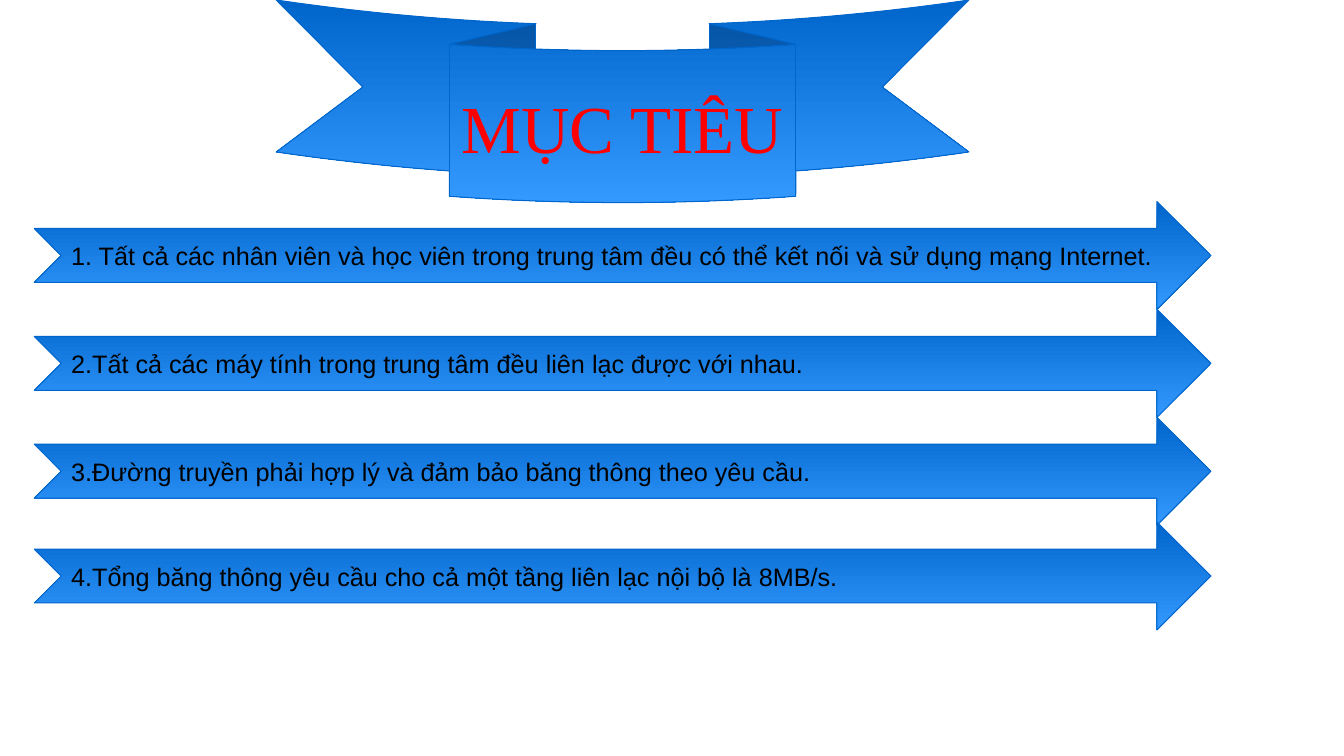
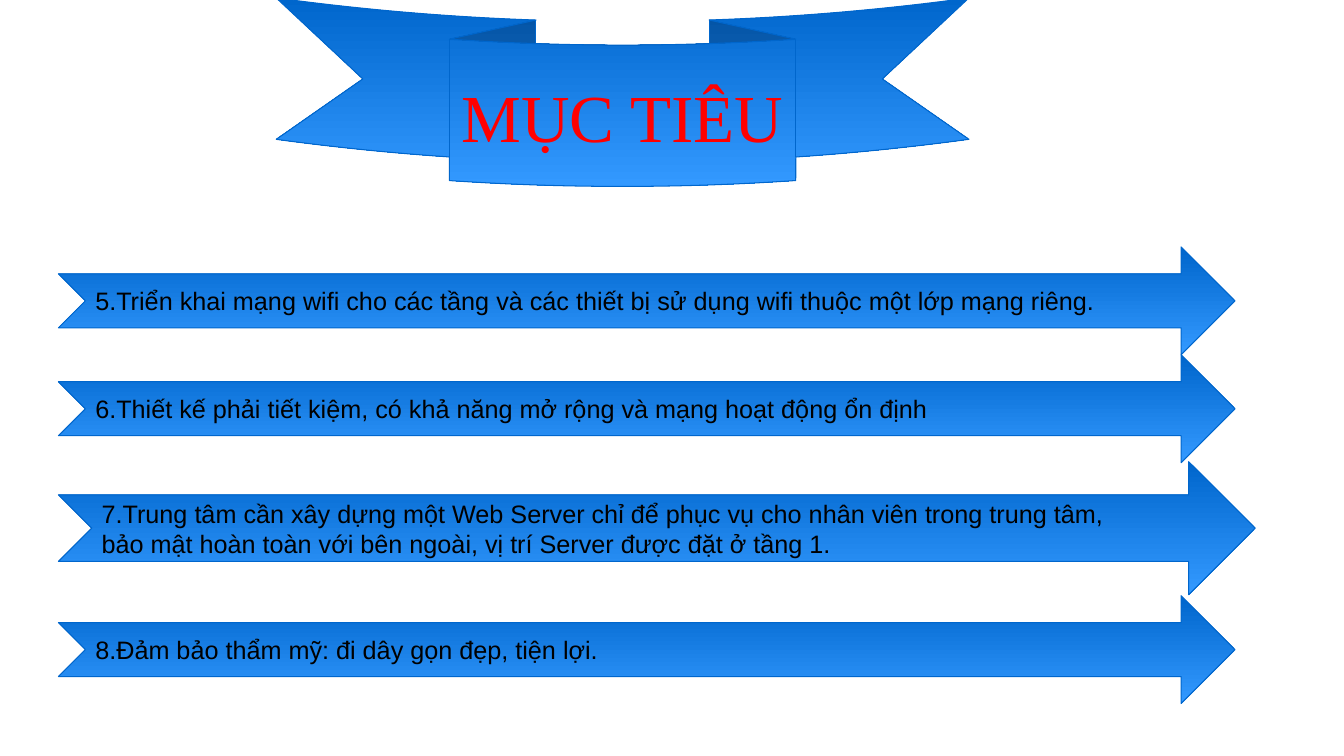
"""Build the two objectives slides: a ribbon title above a stack of notched arrows."""
from pptx import Presentation
from pptx.dml.color import RGBColor
from pptx.enum import shapes, text
from pptx.util import Inches, Pt

DEEP_BLUE = RGBColor(0x00, 0x66, 0xCC)
LIGHT_BLUE = RGBColor(0x33, 0x99, 0xFF)
RED = RGBColor(0xFF, 0x00, 0x00)
BLACK = RGBColor(0x00, 0x00, 0x00)

TITLE = "MỤC TIÊU"
ARROW_WIDTH, ARROW_HEIGHT = 11.67, 1.07
TITLE_ONLY = 5

FIRST_GOALS = [
    (2, ["1. Tất cả các nhân viên và học viên trong trung tâm đều có thể kết nối và sử dụng mạng Internet."]),
    (3.07, ["2.Tất cả các máy tính trong trung tâm đều liên lạc được với nhau."]),
    (4.14, ["3.Đường truyền phải hợp lý và đảm bảo băng thông theo yêu cầu."]),
    (5.18, ["4.Tổng băng thông yêu cầu cho cả một tầng liên lạc nội bộ là 8MB/s."]),
]
LAST_GOALS = [
    (2.45, ["5.Triển khai mạng wifi cho các tầng và các thiết bị sử dụng wifi thuộc một lớp mạng riêng."]),
    (3.52, ["6.Thiết kế phải tiết kiệm, có khả năng mở rộng và mạng hoạt động ổn định"]),
    (4.58, ["7.Trung tâm cần xây dựng một Web Server chỉ để phục vụ cho nhân viên trong trung tâm,",
            "bảo mật hoàn toàn với bên ngoài, vị trí Server được đặt ở tầng 1."], 11.87, 1.32),
    (5.91, ["8.Đảm bảo thẩm mỹ: đi dây gọn đẹp, tiện lợi."]),
]


class GoalDeck:
    """Hold the deck, its style and the current page."""

    def __init__(self):
        """Start an empty widescreen deck."""
        self.deck = Presentation()
        self.deck.slide_width = Inches(13.33)
        self.deck.slide_height = Inches(7.5)
        self.page = None

    def add_page(self):
        """Start a page that has only a title."""
        self.page = self.deck.slides.add_slide(self.deck.slide_layouts[TITLE_ONLY])

    def shape(self, kind, left, top, width, height):
        """Draw a preset shape with the blue gradient and outline."""
        box = self.page.shapes.add_shape(
            kind, Inches(left), Inches(top), Inches(width), Inches(height))
        box.shadow.inherit = False
        box.fill.gradient()
        box.fill.gradient_angle = 270
        for stop, color in zip(box.fill.gradient_stops, (DEEP_BLUE, LIGHT_BLUE)):
            stop.color.rgb = color
        box.line.color.rgb = DEEP_BLUE
        box.line.width = Pt(0.75)
        return box

    def set_text(self, box, lines, font, size, color, align):
        """Set one unwrapped paragraph per line, centred vertically."""
        frame = box.text_frame
        frame.word_wrap = False
        frame.auto_size = text.MSO_AUTO_SIZE.NONE
        frame.vertical_anchor = text.MSO_ANCHOR.MIDDLE
        for index, line in enumerate(lines):
            para = frame.add_paragraph() if index else frame.paragraphs[0]
            para.alignment = align
            span = para.add_run()
            span.text = line
            span.font.name = font
            span.font.size = Pt(size)
            span.font.color.rgb = color

    def ribbon_title(self, top, height):
        """Draw the ribbon and set the title on its front panel."""
        left, width = 2.74, 6.87
        self.shape(shapes.MSO_SHAPE.CURVED_DOWN_RIBBON, left, top, width, height)
        title = self.page.shapes.title
        title.left, title.width = Inches(left + width / 4), Inches(width / 2)
        title.top, title.height = Inches(top + height / 4), Inches(height * 3 / 4)
        self.set_text(title, [TITLE], "Times New Roman", 48, RED, text.PP_ALIGN.CENTER)
        self.page.shapes._spTree.append(title._element)

    def arrow(self, left, top, lines, width=ARROW_WIDTH, height=ARROW_HEIGHT):
        """Draw a notched arrow that carries one goal."""
        box = self.shape(shapes.MSO_SHAPE.NOTCHED_RIGHT_ARROW, left, top, width, height)
        self.set_text(box, lines, "Arial", 18, BLACK, text.PP_ALIGN.LEFT)

    def goals_page(self, ribbon_top, ribbon_height, left, goals):
        """Build a page from its ribbon and its arrows."""
        self.add_page()
        self.ribbon_title(ribbon_top, ribbon_height)
        for goal in goals:
            self.arrow(left, *goal)


def main():
    """Build both pages and save the deck."""
    goal_deck = GoalDeck()
    goal_deck.goals_page(0, 2.01, 0.34, FIRST_GOALS)
    goal_deck.goals_page(-0.02, 1.87, 0.58, LAST_GOALS)
    goal_deck.deck.save("out.pptx")


if __name__ == "__main__":
    main()
